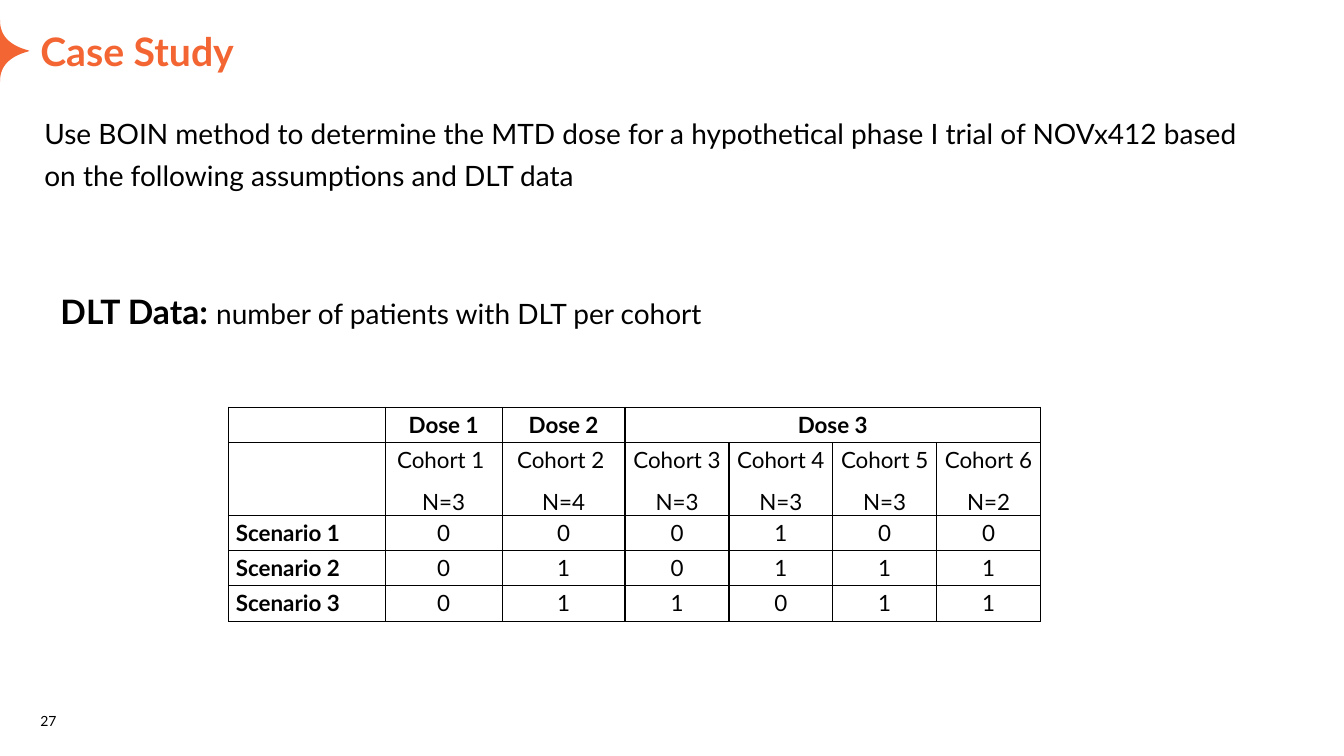
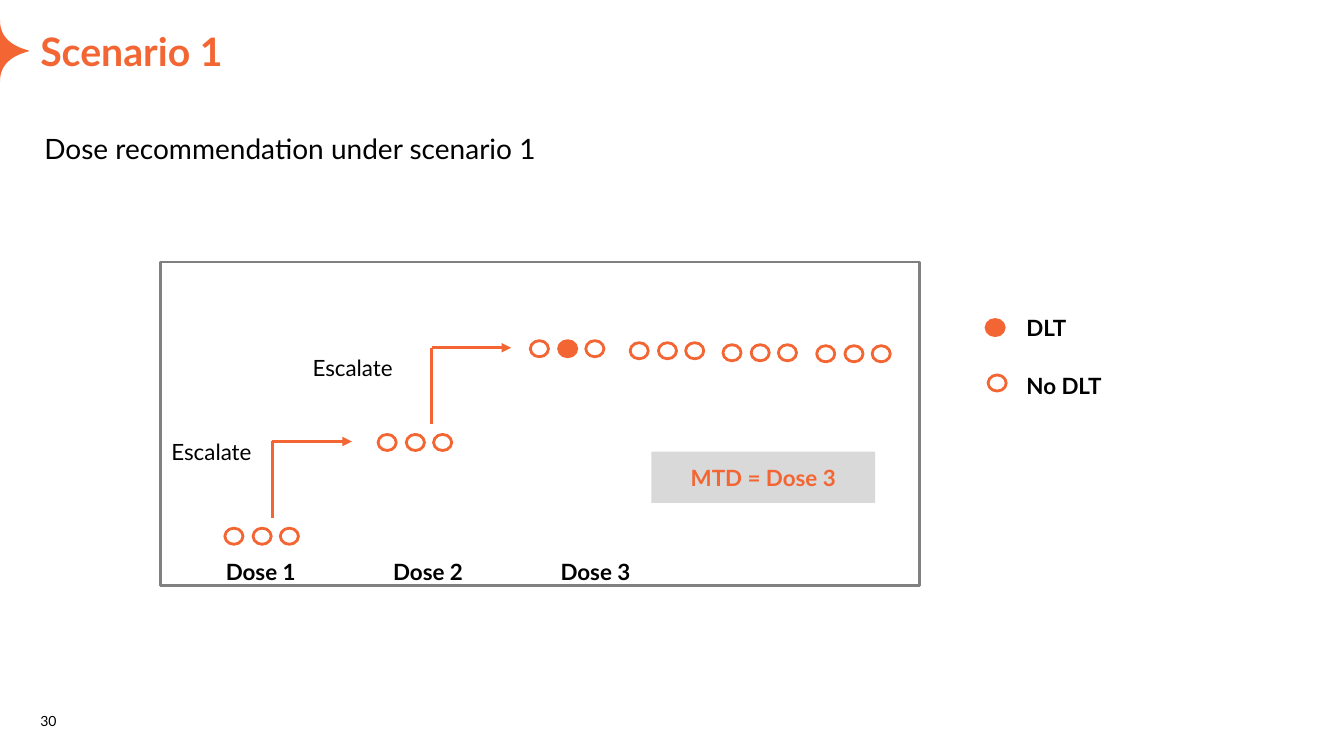
import pptx
import pptx.dml.color
import pptx.enum.shapes
import pptx.enum.text
import pptx.oxml
import pptx.oxml.ns
import pptx.util
from lxml import etree

Inches = pptx.util.Inches
Pt = pptx.util.Pt
RGBColor = pptx.dml.color.RGBColor
SHAPE = pptx.enum.shapes.MSO_SHAPE
ANCHOR = pptx.enum.text.MSO_ANCHOR
ALIGN = pptx.enum.text.PP_ALIGN
qn = pptx.oxml.ns.qn

ORANGE = RGBColor(0xF3, 0x66, 0x33)
BLACK = RGBColor(0, 0, 0)
WHITE = RGBColor(0xFF, 0xFF, 0xFF)
GRAY = RGBColor(0x80, 0x80, 0x80)
LIGHT_GRAY = RGBColor(0xD9, 0xD9, 0xD9)
FONT = "Lato"

DOSES = ["Dose 1", "Dose 2", "Dose 3"]
COHORT_SIZES = [3, 4, 3, 3, 3, 2]
DLT_COUNTS = [
    [0, 0, 0, 1, 0, 0],
    [0, 1, 0, 1, 1, 1],
    [0, 1, 1, 0, 1, 1],
]
COLUMN_WIDTHS = [1.55, 1.16, 1.22] + [1.03] * 4
ROW_HEIGHTS = [0.35, 0.67] + [0.35] * 3
COHORT_POSITIONS = [(2.23, 5.24), (3.75, 4.31), (5.26, 3.38),
                    (6.25, 3.4), (7.17, 3.42), (8.1, 3.43)]
DOT_OFFSETS = [0, 0.28, 0.55]
DLT_PATIENT = (2, 1)


def add_text(paragraph, text, size=16, bold=False, color=BLACK,
             align=ALIGN.LEFT, spacing=None, after=3):
    paragraph.alignment = align
    paragraph.line_spacing = spacing
    paragraph.space_before = Pt(0)
    paragraph.space_after = Pt(after)
    run = paragraph.add_run()
    run.text = text
    run.font.name = FONT
    run.font.size = Pt(size)
    run.font.bold = bold
    run.font.color.rgb = color


def set_frame(frame, inset=0.04, anchor=ANCHOR.TOP, wrap=True):
    frame.auto_size = pptx.enum.text.MSO_AUTO_SIZE.NONE
    frame.word_wrap = wrap
    frame.vertical_anchor = anchor
    frame.margin_left = frame.margin_right = Inches(inset)
    frame.margin_top = frame.margin_bottom = Inches(inset)


def add_text_box(slide, box, text, inset=0.04, anchor=ANCHOR.TOP, **text_format):
    shape = slide.shapes.add_textbox(*map(Inches, box))
    set_frame(shape.text_frame, inset, anchor)
    paragraph = shape.text_frame.paragraphs[0]
    add_text(paragraph, text, **text_format)
    return paragraph


def paint(shape, fill=None, line=None):
    shape.shadow.inherit = False
    if fill is None:
        shape.fill.background()
    else:
        shape.fill.solid()
        shape.fill.fore_color.rgb = fill
    if line is None:
        shape.line.fill.background()
    else:
        shape.line.color.rgb = line
        shape.line.width = Pt(2)


def add_shape(slide, preset, box, fill=None, line=None):
    shape = slide.shapes.add_shape(preset, *map(Inches, box))
    paint(shape, fill, line)
    return shape


def add_line(slide, start, end, arrow=False):
    connector = slide.shapes.add_connector(
        pptx.enum.shapes.MSO_CONNECTOR.STRAIGHT, *map(Inches, start + end))
    connector.line.color.rgb = ORANGE
    connector.line.width = Pt(2.25)
    properties = connector.element.spPr
    if arrow:
        etree.SubElement(properties.find(qn("a:ln")), qn("a:tailEnd"), type="triangle")
    etree.SubElement(properties, qn("a:effectLst"))


def curve_points(controls, steps=16):
    points = []
    for step in range(steps + 1):
        t = step / steps
        weights = ((1 - t) ** 3, 3 * t * (1 - t) ** 2, 3 * t * t * (1 - t), t ** 3)
        points.append(tuple(
            sum(weight * control[axis] for weight, control in zip(weights, controls))
            for axis in (0, 1)))
    return points


def set_up_layout(presentation):
    layout = presentation.slide_layouts.get_by_name("Title Only")
    title = layout.placeholders[0]
    title.left, title.top, title.width, title.height = map(
        Inches, (0.4, 0.27, 12.53, 0.47))
    set_frame(title.text_frame, 0, ANCHOR.BOTTOM)
    return layout


def add_title_marker(slide):
    upper = curve_points([(0, 0.2), (0, 0.36), (0.1, 0.45), (0.28, 0.5)])
    lower = [(x, 1.01 - y) for x, y in reversed(upper)]
    points = [(Inches(x), Inches(y)) for x, y in upper + [(0.29, 0.505)] + lower]
    builder = slide.shapes.build_freeform(*points[0])
    builder.add_line_segments(points[1:], close=True)
    marker = builder.convert_to_shape()
    paint(marker, ORANGE)
    slide.slide_layout.shapes.element.append(marker.element)


def add_slide(presentation, layout, title, number):
    slide = presentation.slides.add_slide(layout)
    add_text(slide.shapes.title.text_frame.paragraphs[0], title,
             size=28, bold=True, color=ORANGE, after=0)
    add_text_box(slide, (0.4, 6.94, 0.59, 0.3), str(number),
                 inset=0, anchor=ANCHOR.BOTTOM, size=10, after=0)
    return slide


def style_cell(cell):
    cell.margin_left = cell.margin_right = Inches(0.07)
    cell.margin_top = cell.margin_bottom = 0
    properties = cell._tc.get_or_add_tcPr()
    for side in ("lnL", "lnR", "lnT", "lnB"):
        border = etree.SubElement(properties, qn("a:" + side), w=str(Pt(1)))
        fill = etree.SubElement(border, qn("a:solidFill"))
        etree.SubElement(fill, qn("a:srgbClr"), val=str(BLACK))
    cell.fill.solid()
    cell.fill.fore_color.rgb = WHITE


def fill_cell(cell, lines, bold=False, align=ALIGN.CENTER):
    frame = cell.text_frame
    for index, line in enumerate(lines):
        paragraph = frame.add_paragraph() if index else frame.paragraphs[0]
        add_text(paragraph, line, bold=bold, align=align, spacing=1.15, after=8)


def add_dlt_table(slide):
    table = slide.shapes.add_table(
        len(ROW_HEIGHTS), len(COLUMN_WIDTHS), Inches(2.27), Inches(4.04),
        Inches(sum(COLUMN_WIDTHS)), Inches(sum(ROW_HEIGHTS))).table
    table.first_row = table.horz_banding = False
    for column, width in zip(table.columns, COLUMN_WIDTHS):
        column.width = Inches(width)
    for row, height in zip(table.rows, ROW_HEIGHTS):
        row.height = Inches(height)
    for cell in table.iter_cells():
        style_cell(cell)
    table.cell(0, 3).merge(table.cell(0, 6))
    for column, dose in enumerate(DOSES, 1):
        fill_cell(table.cell(0, column), [dose], bold=True)
    for column, size in enumerate(COHORT_SIZES, 1):
        ending = " " if column < len(COHORT_SIZES) else ""
        fill_cell(table.cell(1, column), [f"Cohort {column}{ending}", f"N={size}"])
    for scenario, counts in enumerate(DLT_COUNTS, 1):
        row = scenario + 1
        fill_cell(table.cell(row, 0), [f"Scenario {scenario}"], bold=True, align=ALIGN.LEFT)
        for column, count in enumerate(counts, 1):
            fill_cell(table.cell(row, column), [str(count)])


def add_patient(slide, left, top, has_dlt=False):
    add_shape(slide, SHAPE.FLOWCHART_CONNECTOR, (left, top, 0.18, 0.16),
              fill=ORANGE if has_dlt else None, line=ORANGE)


def add_escalation(slide, left, top, label_box):
    add_line(slide, (left, top), (left + 0.79, top), arrow=True)
    add_line(slide, (left, top), (left, top + 0.76))
    add_text_box(slide, label_box, "Escalate", anchor=ANCHOR.MIDDLE)


def build_case_study(presentation, layout):
    slide = add_slide(presentation, layout, "Case Study", 27)
    add_title_marker(slide)
    add_text_box(slide, (0.4, 1.03, 12.26, 0.88),
                 "Use BOIN method to determine the MTD dose for a hypothetical phase I "
                 "trial of NOVx412 based on the following assumptions and DLT data",
                 size=20, spacing=1.25)
    heading = add_text_box(slide, (0.56, 2.85, 7.79, 0.42), "DLT Data: ", size=24, bold=True)
    add_text(heading, "number of patients with DLT per cohort", size=20)
    add_dlt_table(slide)


def build_scenario(presentation, layout):
    slide = add_slide(presentation, layout, "Scenario 1", 30)
    add_text_box(slide, (0.4, 1.26, 10.87, 0.51),
                 "Dose recommendation under scenario 1", size=20)
    add_shape(slide, SHAPE.RECTANGLE, (1.59, 2.6, 7.53, 3.21), line=GRAY)
    for index, dose in enumerate(DOSES):
        add_text_box(slide, (2.2 + 1.66 * index, 5.5, 0.86, 0.41), dose, bold=True)
    for cohort, (left, top) in enumerate(COHORT_POSITIONS):
        for patient, offset in enumerate(DOT_OFFSETS):
            add_patient(slide, left + offset, top, (cohort, patient) == DLT_PATIENT)
    add_escalation(slide, 2.7, 4.38, (1.66, 4.4, 1.07, 0.16))
    add_escalation(slide, 4.28, 3.45, (3.06, 3.55, 1.19, 0.2))
    result = add_shape(slide, SHAPE.RECTANGLE, (6.46, 4.48, 2.22, 0.51), fill=LIGHT_GRAY)
    set_frame(result.text_frame, anchor=ANCHOR.MIDDLE, wrap=False)
    add_text(result.text_frame.paragraphs[0], "MTD = Dose 3",
             bold=True, color=ORANGE, align=ALIGN.CENTER)
    add_patient(slide, 9.78, 3.17, has_dlt=True)
    add_patient(slide, 9.8, 3.72)
    for label, top in (("DLT", 3.08), ("No DLT", 3.65)):
        add_text_box(slide, (10.14, top, 1.96, 0.29), label, bold=True)


def main():
    presentation = pptx.Presentation()
    presentation.slide_width = Inches(13.33)
    presentation.slide_height = Inches(7.5)
    layout = set_up_layout(presentation)
    build_case_study(presentation, layout)
    build_scenario(presentation, layout)
    presentation.save("out.pptx")


if __name__ == "__main__":
    main()
